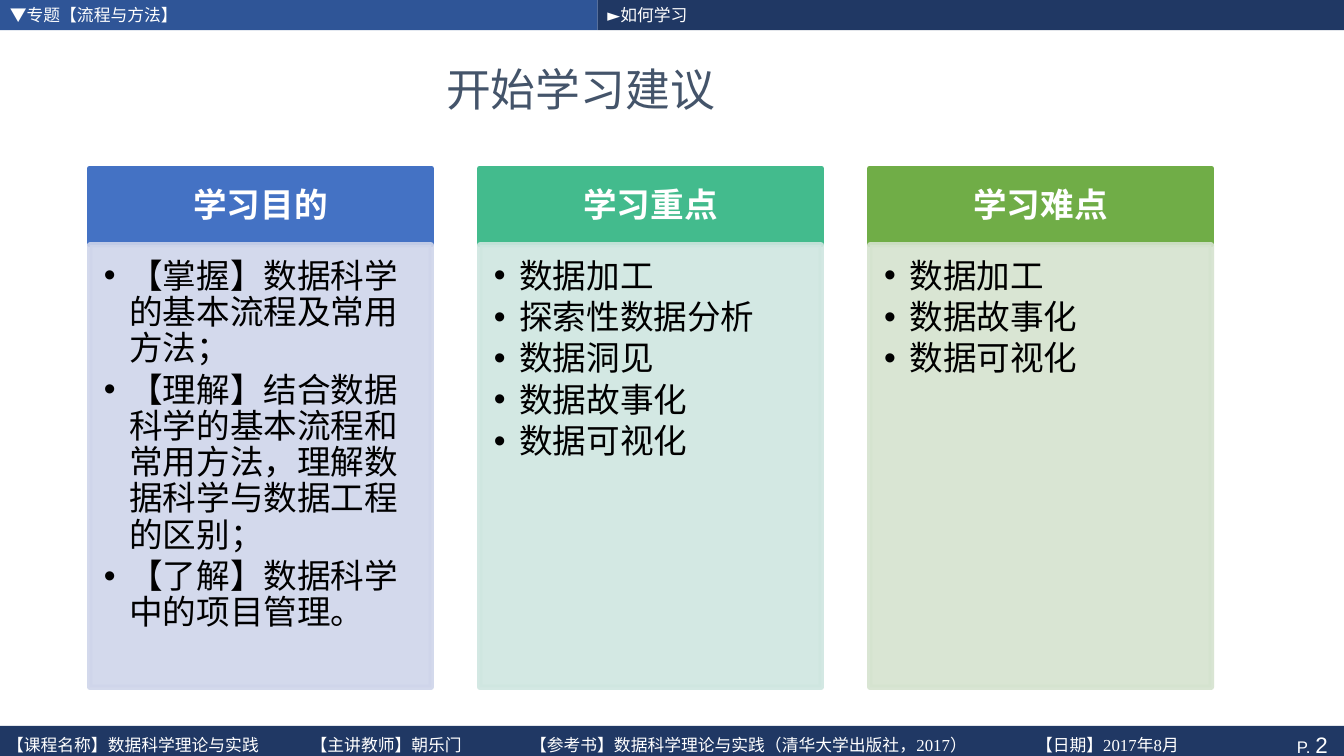
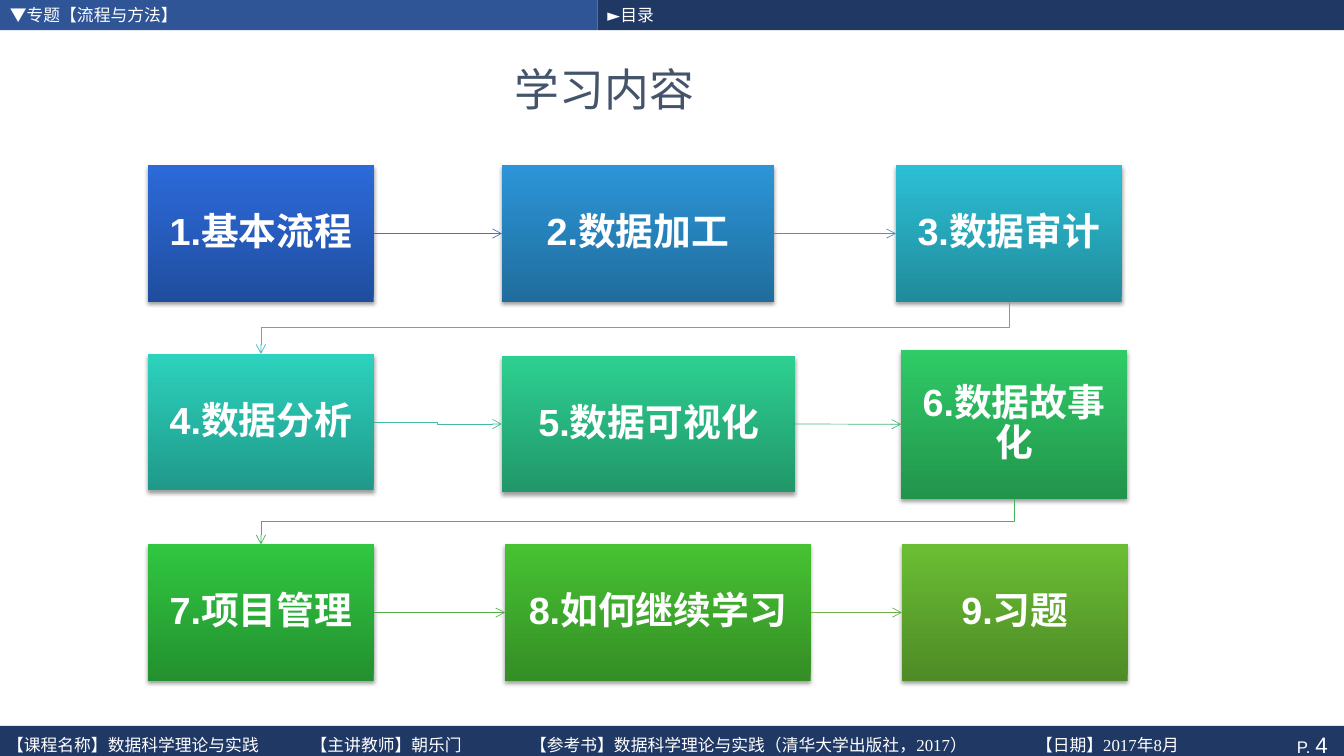
from dataclasses import dataclass

from lxml import etree
from pptx import Presentation
from pptx.dml.color import RGBColor
from pptx.enum.shapes import MSO_CONNECTOR, MSO_SHAPE
from pptx.enum.text import MSO_ANCHOR, PP_ALIGN
from pptx.oxml.ns import qn
from pptx.util import Cm, Pt

RECT = MSO_SHAPE.RECTANGLE
STRAIGHT, ELBOW = MSO_CONNECTOR.STRAIGHT, MSO_CONNECTOR.ELBOW
TOP, MIDDLE = MSO_ANCHOR.TOP, MSO_ANCHOR.MIDDLE
LEFT, CENTER, RIGHT = PP_ALIGN.LEFT, PP_ALIGN.CENTER, PP_ALIGN.RIGHT
SIDE_TOP, SIDE_LEFT, SIDE_BOTTOM, SIDE_RIGHT = range(4)
TITLE_ONLY = 5


@dataclass(frozen=True)
class Theme:
    band: str = "2F5597"
    navy: str = "203864"
    title: str = "44546A"
    white: str = "FFFFFF"
    black: str = "000000"
    font: str = "Arial"
    cjk: str = "Noto Sans CJK SC"
    footer_font: str = "Times New Roman"
    small: int = 12
    number: int = 16
    body: int = 24
    step: int = 27
    heading: int = 32


T = Theme()

TOPIC = "▼专题【流程与方法】"
FOOTER = ("【课程名称】数据科学理论与实践", "【主讲教师】朝乐门",
          "【参考书】数据科学理论与实践（清华大学出版社，2017）", "【日期】2017年8月")
FOOTER_TABS = (7.65, 13.18, 25.93)

# heading, strong colour, pale colour, points
COLUMNS = [
    ("学习目的", "4472C4", "CFD5EA", [
        "【掌握】数据科学的基本流程及常用方法；",
        "【理解】结合数据科学的基本流程和常用方法，理解数据科学与数据工程的区别；",
        "【了解】数据科学中的项目管理。"]),
    ("学习重点", "43BB8D", "CFE6E0",
     ["数据加工", "探索性数据分析", "数据洞见", "数据故事化", "数据可视化"]),
    ("学习难点", "70AD47", "D5E3CF",
     ["数据加工", "数据故事化", "数据可视化"]),
]

# text, (left, top, width, height) in cm, dark colour, light colour
STEPS = [
    ("1.基本流程", (3.73, 4.17, 5.69, 3.43), "204E9F", "2C6ADA"),
    ("2.数据加工", (12.65, 4.17, 6.86, 3.43), "206D9D", "2C95D7"),
    ("3.数据审计", (22.58, 4.17, 5.69, 3.43), "208B9B", "2CBFD5"),
    ("4.数据分析", (3.73, 8.92, 5.69, 3.43), "20998A", "2CD2BD"),
    ("5.数据可视化", (12.65, 8.97, 7.39, 3.43), "21976A", "2DCF91"),
    ("6.数据故事化", (22.71, 8.81, 5.69, 3.76), "22944C", "2FCB67"),
    ("7.项目管理", (3.73, 13.72, 5.69, 3.43), "23912F", "30C641"),
    ("8.如何继续学习", (12.73, 13.72, 7.7, 3.43), "348E25", "47C232"),
    ("9.习题", (22.73, 13.72, 5.69, 3.43), "4E8B26", "6BBE34"),
]
ARROWS = ["4472C4", "4496C1", "43B8BF", "43BCA0", "44B97B", "45B559", "52B146", "70AD47"]
STEPS_PER_ROW = 3


def rgb(color):
    return RGBColor.from_string(color)


def sub(parent, tag, **attrs):
    """Append a DrawingML element with the given attributes."""
    child = etree.SubElement(parent, qn(tag))
    for name, value in attrs.items():
        child.set(name, str(value))
    return child


def style(p, size, color, font=T.font, bold=False, align=LEFT):
    p.alignment = align
    f = p.font
    f.name, f.size, f.bold = font, Pt(size), bold
    f.color.rgb = rgb(color)
    sub(p._p.pPr.find(qn("a:defRPr")), "a:ea", typeface=T.cjk)


def frame(shape, anchor=MIDDLE, insets=(0.25, 0, 0.25, 0)):
    """Set wrapping, anchor and insets (left, top, right, bottom in cm)."""
    tf = shape.text_frame
    tf.word_wrap = True
    tf.vertical_anchor = anchor
    tf.margin_left, tf.margin_top, tf.margin_right, tf.margin_bottom = map(Cm, insets)
    return tf


def add_rect(s, box, fill=None):
    shape = s.shapes.add_shape(RECT, *map(Cm, box))
    if fill:
        shape.fill.solid()
        shape.fill.fore_color.rgb = rgb(fill)
    shape.line.fill.background()
    shape.shadow.inherit = False
    return shape


def outline(shape, color, width):
    shape.line.color.rgb = rgb(color)
    shape.line.width = Pt(width)


def add_slide(prs, title, title_width, section, number):
    """Add a slide with its title, header bands and footer."""
    s = prs.slides.add_slide(prs.slide_layouts[TITLE_ONLY])
    heading = s.shapes.title
    heading.left, heading.top, heading.width, heading.height = map(
        Cm, (1.12, 1.09, title_width, 2.29))
    p = frame(heading).paragraphs[0]
    p.text = title
    style(p, T.heading, T.title, T.cjk, align=CENTER)

    for text, left, width, color in ((TOPIC, 0, 15.06, T.band),
                                     (section, 15.06, 18.81, T.navy)):
        p = frame(add_rect(s, (left, 0, width, 0.76), color)).paragraphs[0]
        p.text = text
        style(p, T.small, T.white)

    footer = add_rect(s, (0, 18.29, 33.87, 0.94), T.navy)
    p = frame(footer, insets=(0.25, 0, 0.41, 0)).paragraphs[0]
    p.add_run().text = "P. "
    r = p.add_run()
    r.text = str(number)
    style(p, T.small, T.white, align=RIGHT)
    r.font.size = Pt(T.number)

    details = s.shapes.add_textbox(*map(Cm, (0, 18.29, 32.3, 0.94)))
    p = frame(details, insets=(0.18, 0, 0, 0)).paragraphs[0]
    p.add_run().text = "\t".join(FOOTER)
    tabs = sub(p._p.get_or_add_pPr(), "a:tabLst")
    for pos in FOOTER_TABS:
        sub(tabs, "a:tab", pos=Cm(pos), algn="l")
    style(p, T.small, T.white, T.footer_font)
    return s


def add_column(s, left, heading, strong, pale, points):
    width, top, head_height, body_height = 8.61, 4.24, 1.93, 11.15
    head = add_rect(s, (left, top, width, head_height), strong)
    outline(head, strong, 3.78)
    p = frame(head, insets=(0.48, 0.28, 0.48, 0.28)).paragraphs[0]
    p.text = heading
    style(p, T.body, T.white, bold=True, align=CENTER)
    p.line_spacing = 0.9

    body = add_rect(s, (left, top + head_height, width, body_height), pale)
    outline(body, pale, 3.78)
    for color in body._element.spPr.iter(qn("a:srgbClr")):
        sub(color, "a:alpha", val=90000)
    tf = frame(body, TOP, (0.36, 0.36, 0.48, 0.53))
    for i, point in enumerate(points):
        p = tf.add_paragraph() if i else tf.paragraphs[0]
        p.text = point
        pPr = p._p.get_or_add_pPr()
        pPr.set("marL", str(Cm(0.64)))
        pPr.set("indent", str(-Cm(0.64)))
        sub(pPr, "a:buFont", typeface=T.font)
        sub(pPr, "a:buChar", char="•")
        style(p, T.body, T.black)
        p.line_spacing = 0.9
        p.space_after = Pt(3.6)


def add_step(s, text, box, dark, light):
    shape = add_rect(s, box)
    shape.fill.gradient()
    shape.fill.gradient_angle = 90
    for stop, color in zip(shape.fill.gradient_stops, (dark, light)):
        stop.color.rgb = rgb(color)
    shadow = sub(shape._element.spPr.find(qn("a:effectLst")), "a:outerShdw",
                 blurRad=Pt(3.1), dist=Pt(2), dir=5400000, rotWithShape=0)
    sub(sub(shadow, "a:srgbClr", val=T.black), "a:alpha", val=38000)
    p = frame(shape, insets=(0.53,) * 4).paragraphs[0]
    p.text = text
    style(p, T.step, T.white, bold=True, align=CENTER)
    p.line_spacing = 0.9
    return shape


def add_arrow(s, a, b, color, new_row):
    """Join two steps: sideways within a row, down and back to a new row."""
    offset = abs(a.top + a.height / 2 - b.top - b.height / 2)
    kind = ELBOW if new_row or offset > Cm(0.03) else STRAIGHT
    c = s.shapes.add_connector(kind, 0, 0, 0, 0)
    c.begin_connect(a, SIDE_BOTTOM if new_row else SIDE_RIGHT)
    c.end_connect(b, SIDE_TOP if new_row else SIDE_LEFT)
    if new_row:
        # A quarter turn about the centre makes the elbow leave downwards.
        across, down = c.width, c.height
        mid_x, mid_y = c.left + across // 2, c.top + down // 2
        c.left, c.top = mid_x - down // 2, mid_y - across // 2
        c.width, c.height = down, across
        xfrm = c._element.spPr.find(qn("a:xfrm"))
        xfrm.attrib.pop("flipH", None)
        xfrm.set("rot", "5400000")
    outline(c, color, 0.5)
    sub(c.line._get_or_add_ln(), "a:tailEnd", type="arrow")
    sub(c._element.spPr, "a:effectLst")


def main():
    prs = Presentation()
    prs.slide_width, prs.slide_height = Cm(33.87), Cm(19.05)

    s = add_slide(prs, "开始学习建议", 27.03, "►如何学习", 2)
    for i, column in enumerate(COLUMNS):
        add_column(s, 2.26 + i * 9.83, *column)

    s = add_slide(prs, "学习内容", 28.22, "►目录", 4)
    steps = [add_step(s, *step) for step in STEPS]
    for i, (a, b, color) in enumerate(zip(steps, steps[1:], ARROWS), start=1):
        add_arrow(s, a, b, color, new_row=i % STEPS_PER_ROW == 0)

    prs.save("out.pptx")


if __name__ == "__main__":
    main()
